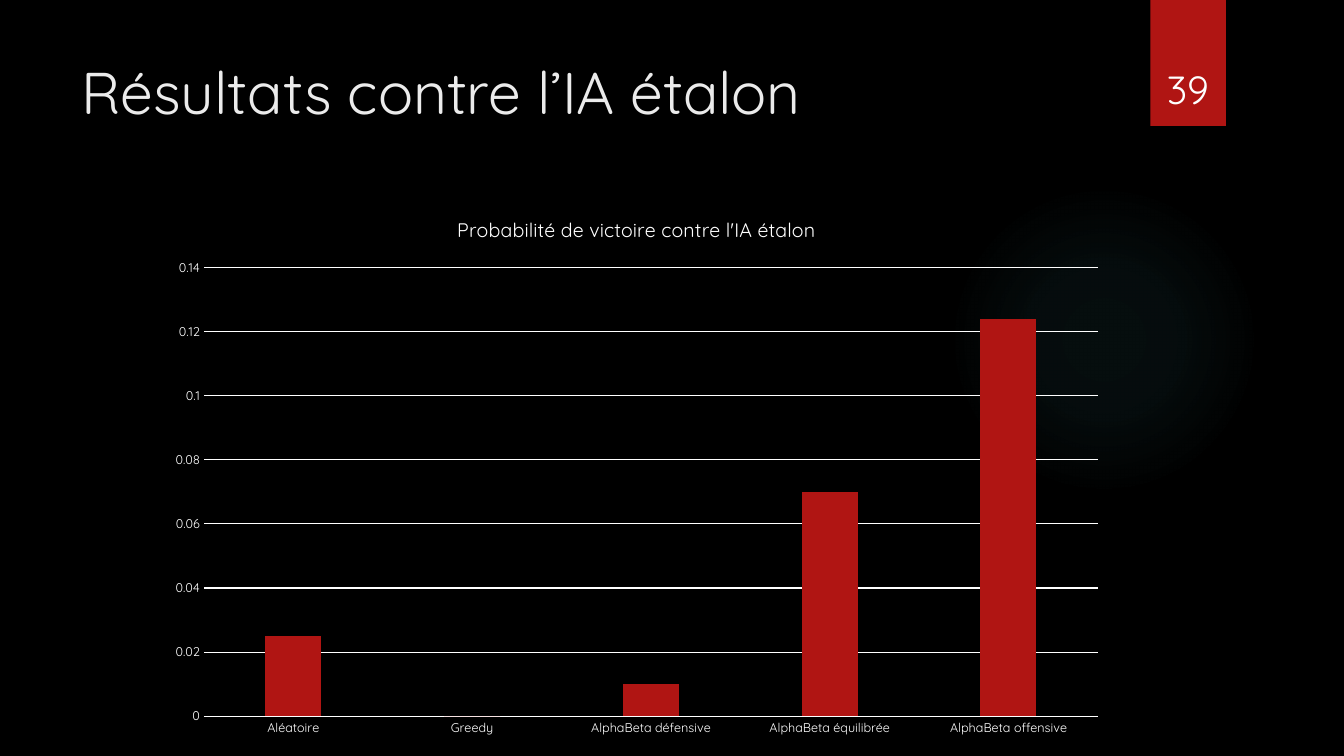
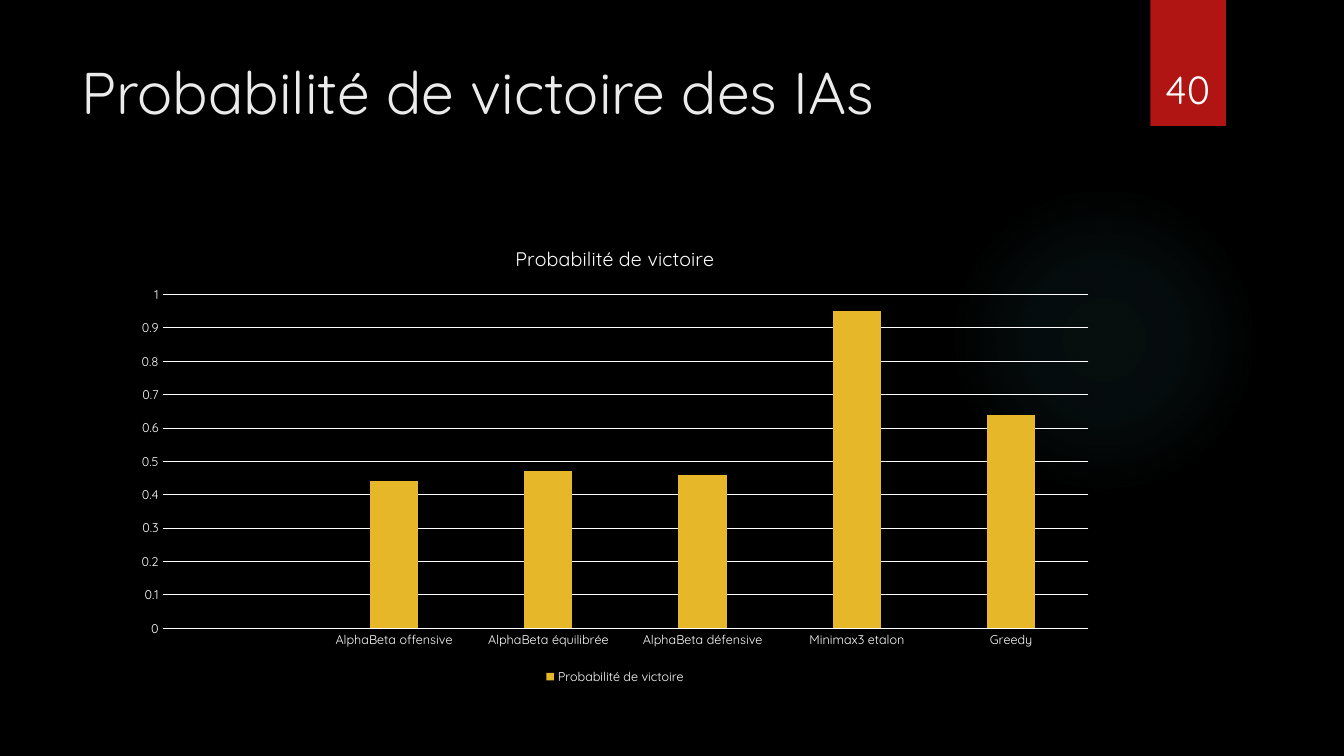
"""Builds two dark slides, each with a title, a page number and a column chart."""
from dataclasses import dataclass

from pptx import Presentation
from pptx.chart.chart import Chart
from pptx.chart.data import CategoryChartData
from pptx.dml.color import RGBColor
from pptx.enum.chart import XL_CHART_TYPE, XL_LEGEND_POSITION, XL_TICK_MARK
from pptx.enum.shapes import MSO_SHAPE
from pptx.enum.text import MSO_ANCHOR, PP_ALIGN
from pptx.oxml import parse_xml
from pptx.oxml.ns import nsdecls
from pptx.slide import Slide
from pptx.text.text import Font
from pptx.util import Inches, Pt

BLACK = RGBColor(0x00, 0x00, 0x00)
WHITE = RGBColor(0xFF, 0xFF, 0xFF)
PALE = RGBColor(0xEB, 0xEB, 0xEB)
RED = RGBColor(0xB0, 0x15, 0x13)
GOLD = RGBColor(0xE6, 0xB7, 0x29)
GLOW = RGBColor(0x50, 0xB9, 0xC1)
FACE = "Quicksand"
STOPS = ((0, 7), (36, 6), (69, 0))

COLUMNS = XL_CHART_TYPE.COLUMN_CLUSTERED
BELOW = XL_LEGEND_POSITION.BOTTOM
NO_TICK = XL_TICK_MARK.NONE
OVAL, RECT = MSO_SHAPE.OVAL, MSO_SHAPE.RECTANGLE
TOP, BOTTOM = MSO_ANCHOR.TOP, MSO_ANCHOR.BOTTOM
LEFT, CENTER = PP_ALIGN.LEFT, PP_ALIGN.CENTER

Box = tuple[float, float, float, float]


@dataclass(frozen=True)
class Page:
    title: str
    number: int
    box: Box
    heading: str
    series: str
    bars: tuple[tuple[str, float | None], ...]
    color: RGBColor
    top: float
    step: float
    legend: bool


@dataclass(frozen=True)
class Label:
    box: Box
    size: int
    color: RGBColor
    anchor: MSO_ANCHOR
    align: PP_ALIGN


TITLE = Label((0.71, 0.5, 10.29, 1.53), 42, PALE, TOP, LEFT)
NUMBER = Label((11.32, 0.32, 0.92, 0.84), 28, WHITE, BOTTOM, CENTER)

PAGES = (
    Page("Résultats contre l’IA étalon", 39, (1.55, 1.94, 9.53, 5.47),
         "Probabilité de victoire contre l'IA étalon", "Series 1",
         (("Aléatoire", 0.025), ("Greedy", 0), ("AlphaBeta défensive", 0.01),
          ("AlphaBeta équilibrée", 0.07), ("AlphaBeta offensive", 0.124)),
         RED, 0.14, 0.02, False),
    Page("Probabilité de victoire des IAs", 40, (1.21, 2.24, 9.78, 4.59),
         "Probabilité de victoire", "Probabilité de victoire",
         (("", None), ("AlphaBeta offensive", 0.44),
          ("AlphaBeta équilibrée", 0.47), ("AlphaBeta défensive", 0.46),
          ("Minimax3 etalon", 0.95), ("Greedy", 0.64)),
         GOLD, 1, 0.1, True),
)


def style(font: Font, size: int, color: RGBColor = WHITE) -> None:
    """Sets face, size and colour."""
    font.name, font.size, font.bold = FACE, Pt(size), False
    font.color.rgb = color


def add_shape(slide: Slide, kind: MSO_SHAPE, box: Box, color: RGBColor):
    """Draws a flat shape without outline."""
    shape = slide.shapes.add_shape(kind, *map(Inches, box))
    shape.shadow.inherit = False
    shape.line.fill.background()
    shape.fill.solid()
    shape.fill.fore_color.rgb = color
    return shape


def add_glow(slide: Slide) -> None:
    """Draws the faint round light."""
    props = add_shape(slide, OVAL, (9.41, 1.83, 3.08, 3.08), GLOW)._element.spPr
    stops = "".join(
        f'<a:gs pos="{pos * 1000}"><a:srgbClr val="{GLOW}">'
        f'<a:alpha val="{alpha * 1000}"/></a:srgbClr></a:gs>'
        for pos, alpha in STOPS)
    fill = parse_xml(
        f'<a:gradFill {nsdecls("a")} rotWithShape="1"><a:gsLst>{stops}</a:gsLst>'
        '<a:path path="circle"><a:fillToRect l="50000" t="50000" r="50000" '
        'b="50000"/></a:path></a:gradFill>')
    props.replace(props.eg_fillProperties, fill)


def add_text(slide: Slide, text: str, label: Label) -> None:
    """Writes one line of text."""
    frame = slide.shapes.add_textbox(*map(Inches, label.box)).text_frame
    frame.word_wrap = True
    frame.vertical_anchor = label.anchor
    line = frame.paragraphs[0]
    line.text, line.alignment = text, label.align
    style(line.font, label.size, label.color)


def style_axes(chart: Chart, page: Page) -> None:
    """Sets scale, lines and labels of both axes."""
    cat, val = chart.category_axis, chart.value_axis
    for axis in (cat, val):
        axis.major_tick_mark = axis.minor_tick_mark = NO_TICK
        style(axis.tick_labels.font, 9)
    val.minimum_scale, val.maximum_scale = 0, page.top
    val.major_unit = page.step
    val.format.line.fill.background()
    for line in (cat.format.line, val.major_gridlines.format.line):
        line.color.rgb, line.width = WHITE, Pt(0.75)


def add_chart(slide: Slide, page: Page) -> None:
    """Draws the column chart."""
    data = CategoryChartData()
    names, values = zip(*page.bars)
    data.categories = names
    data.add_series(page.series, values)
    chart = slide.shapes.add_chart(
        COLUMNS, *map(Inches, page.box), data).chart
    style(chart.font, 10)
    title = chart.chart_title.text_frame
    title.text = page.heading
    style(title.paragraphs[0].font, 14)
    style_axes(chart, page)
    chart.has_legend = page.legend
    if page.legend:
        chart.legend.position = BELOW
        chart.legend.include_in_layout = False
        style(chart.legend.font, 9)
    plot = chart.plots[0]
    plot.gap_width, plot.overlap = 219, -27
    plot.vary_by_categories = False
    fill = plot.series[0].format.fill
    fill.solid()
    fill.fore_color.rgb = page.color


def main() -> None:
    """Builds and saves the deck."""
    deck = Presentation()
    deck.slide_width, deck.slide_height = Inches(13.33), Inches(7.5)
    back = deck.slide_master.background.fill
    back.solid()
    back.fore_color.rgb = BLACK
    for page in PAGES:
        slide = deck.slides.add_slide(deck.slide_layouts[6])
        add_glow(slide)
        add_shape(slide, RECT, (11.41, 0, 0.75, 1.25), RED)
        add_text(slide, page.title, TITLE)
        add_text(slide, str(page.number), NUMBER)
        add_chart(slide, page)
    deck.save("out.pptx")


if __name__ == "__main__":
    main()
